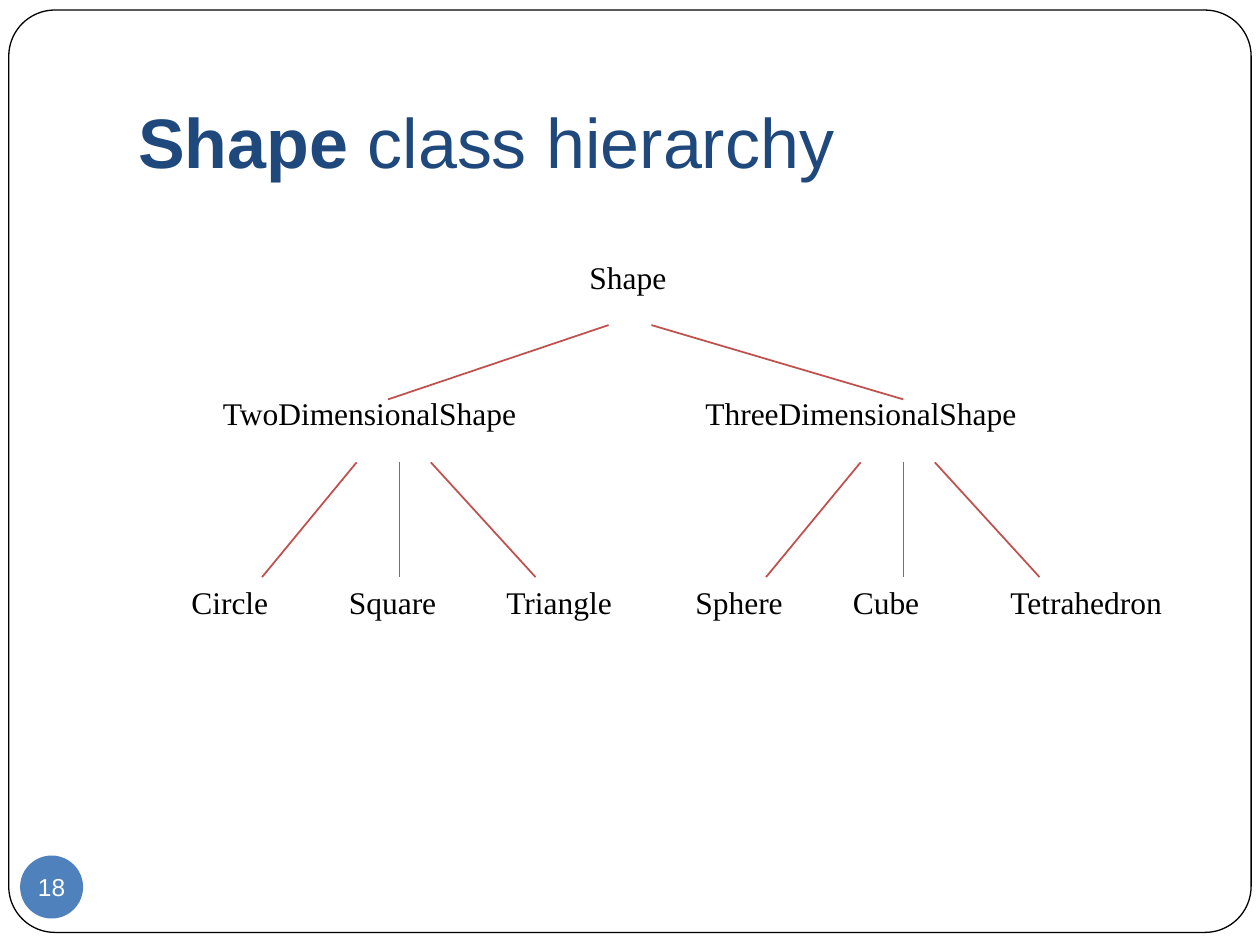
from lxml.etree import SubElement
from pptx import Presentation
from pptx.dml.color import RGBColor
from pptx.enum.shapes import MSO_CONNECTOR, MSO_SHAPE
from pptx.enum.text import MSO_ANCHOR, MSO_AUTO_SIZE, PP_ALIGN
from pptx.oxml.ns import qn
from pptx.util import Inches, Pt

BLACK = RGBColor(0x00, 0x00, 0x00)
WHITE = RGBColor(0xFF, 0xFF, 0xFF)
NAVY = RGBColor(0x1F, 0x49, 0x7D)
BLUE = RGBColor(0x4F, 0x81, 0xBD)
RED = RGBColor(0xC0, 0x50, 0x4D)

HEADING_FONT = "Arial"
LABEL_FONT = "Times New Roman"

BRANCH_GAP = 4
LEAF_TOP = 4.58
LEAF_LEFTS = (1.42, 2.67, 3.92)
LEAF_LINES = ((2.83, 2.08), (3.17, 3.17), (3.42, 4.25))
# Each branch: leaf names with their box widths
BRANCHES = (
    (("Circle", 1.01), ("Square", 1.12), ("Triangle", 1.32)),
    (("Sphere", 1.12), ("Cube", 0.9), ("Tetrahedron", 1.82)),
)


def add_run(p, text, font, size, color, bold=False):
    r = p.add_run()
    r.text = text
    r.font.name = font
    r.font.size = Pt(size)
    r.font.bold = bold
    r.font.color.rgb = color


def add_shape(shapes, kind, left, top, width, height, fill):
    sp = shapes.add_shape(kind, Inches(left), Inches(top), Inches(width), Inches(height))
    sp.shadow.inherit = False
    sp.fill.solid()
    sp.fill.fore_color.rgb = fill
    return sp


def add_frame(shapes):
    sp = add_shape(shapes, MSO_SHAPE.ROUNDED_RECTANGLE, 0.07, 0.08, 9.86, 7.32, WHITE)
    sp.adjustments[0] = 0.05
    sp.line.color.rgb = BLACK
    sp.line.width = Pt(0.75)


def add_page_number(shapes, number):
    sp = add_shape(shapes, MSO_SHAPE.OVAL, 0.16, 6.79, 0.5, 0.5, BLUE)
    sp.line.fill.background()
    tf = sp.text_frame
    tf.margin_left = tf.margin_right = tf.margin_top = tf.margin_bottom = 0
    tf.vertical_anchor = MSO_ANCHOR.MIDDLE
    p = tf.paragraphs[0]
    p.alignment = PP_ALIGN.CENTER
    add_run(p, number, HEADING_FONT, 14, WHITE)


def add_text_box(shapes, left, top, width, height):
    tf = shapes.add_textbox(
        Inches(left), Inches(top), Inches(width), Inches(height)
    ).text_frame
    tf.word_wrap = True
    return tf


def add_title(shapes):
    tf = add_text_box(shapes, 1, 0.3, 8.5, 1.25)
    tf.vertical_anchor = MSO_ANCHOR.BOTTOM
    tf.margin_bottom = Inches(0.1)
    p = tf.paragraphs[0]
    add_run(p, "Shape ", HEADING_FONT, 40, NAVY, bold=True)
    add_run(p, "class hierarchy", HEADING_FONT, 40, NAVY)


def add_label(shapes, text, left, top, width):
    tf = add_text_box(shapes, left, top, width, 0.5)
    tf.auto_size = MSO_AUTO_SIZE.SHAPE_TO_FIT_TEXT
    add_run(tf.paragraphs[0], text, LABEL_FONT, 18, BLACK)


def add_line(shapes, x1, y1, x2, y2):
    line = shapes.add_connector(
        MSO_CONNECTOR.STRAIGHT, Inches(x1), Inches(y1), Inches(x2), Inches(y2)
    )
    line.line.color.rgb = RED
    line.line.width = Pt(1)
    SubElement(line._element.spPr, qn("a:effectLst"))


def add_leaves(shapes, leaves, offset):
    """Add one grouped row of subclasses with the lines leading to them."""
    group = shapes.add_group_shape().shapes
    for (name, width), left, (x1, x2) in zip(leaves, LEAF_LEFTS, LEAF_LINES):
        add_label(group, name, left + offset, LEAF_TOP, width)
        add_line(group, x1 + offset, 3.67, x2 + offset, LEAF_TOP)


def main():
    prs = Presentation()
    prs.slide_width, prs.slide_height = Inches(10), Inches(7.5)
    s = prs.slides.add_slide(prs.slide_layouts[6])
    shapes = s.shapes

    add_frame(shapes)
    add_page_number(shapes, "18")
    add_title(shapes)

    add_label(shapes, "Shape", 4.58, 2, 1.01)
    add_label(shapes, "TwoDimensionalShape", 1.67, 3.08, 3.32)
    add_label(shapes, "ThreeDimensionalShape", 5.5, 3.08, 3.49)
    add_line(shapes, 4.83, 2.58, 3.08, 3.17)
    add_line(shapes, 5.17, 2.58, 7.17, 3.17)

    for i, leaves in enumerate(BRANCHES):
        add_leaves(shapes, leaves, i * BRANCH_GAP)

    prs.save("out.pptx")


if __name__ == "__main__":
    main()
